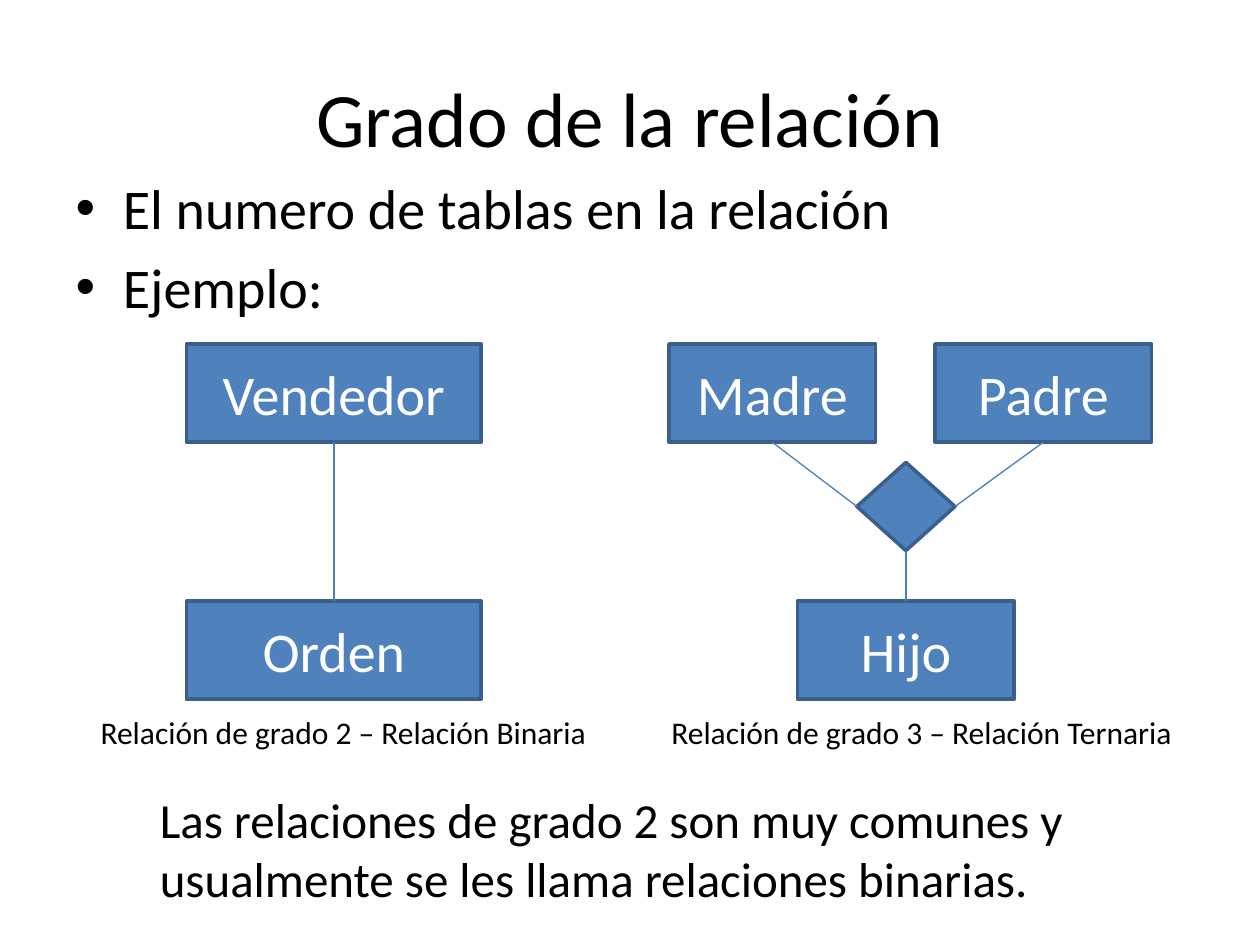
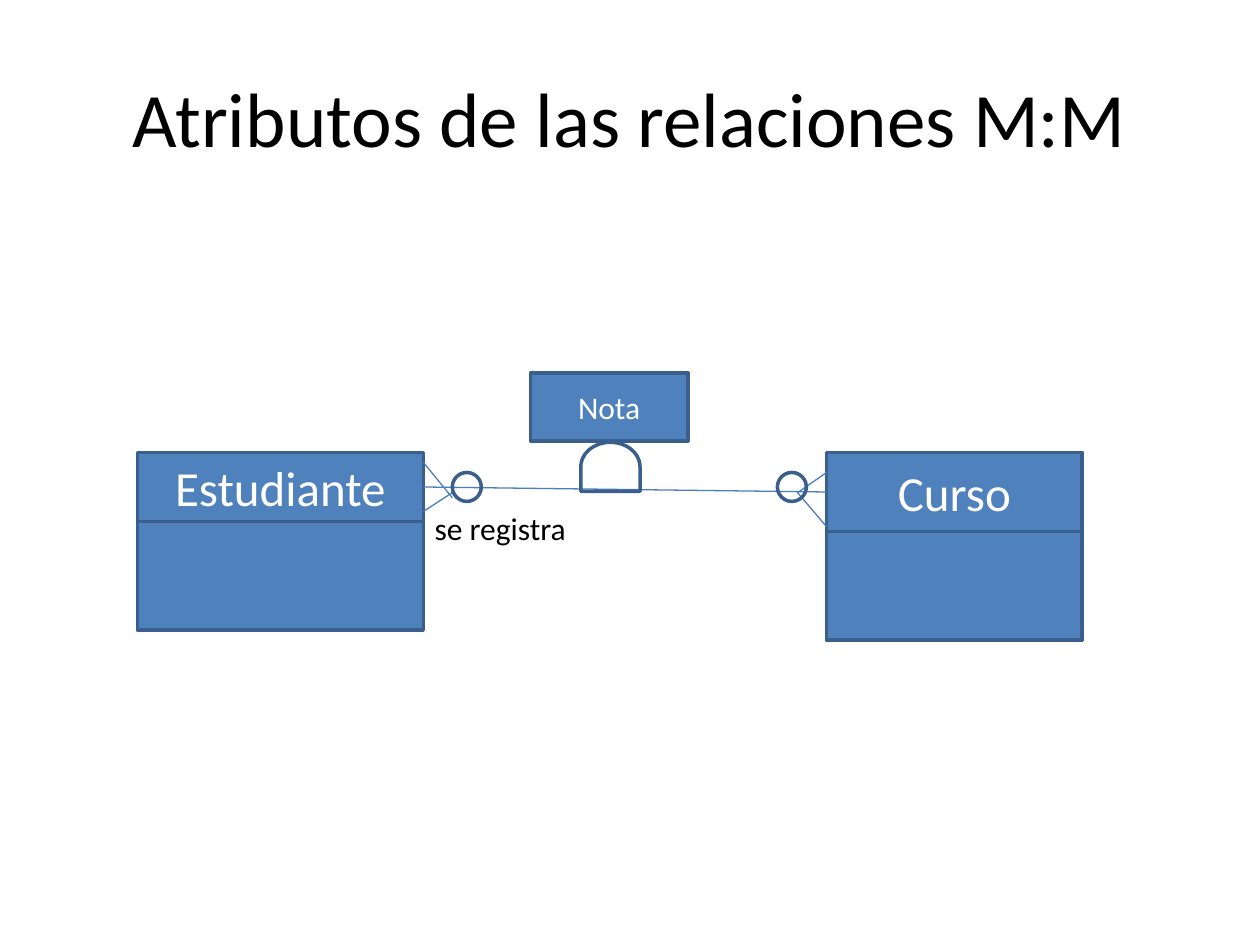
from lxml import etree
from pptx import Presentation
from pptx import util as u
from pptx.dml.color import RGBColor
from pptx.enum import shapes, text
from pptx.oxml import ns

FONT = "Calibri"
BLUE, EDGE, WIRE = "4F81BD", "3A5F8C", "4B7EBC"
BLACK, WHITE = "000000", "FFFFFF"
KIND = shapes.MSO_SHAPE
TOP, LEFT, BOTTOM, RIGHT = range(4)
TITLE_BOX = (0.5, 0.3, 9, 1.25)


def colour(value):
    """Return the colour for a hex string."""
    return RGBColor.from_string(value)


def place(item, box):
    """Move an item to a box given in inches."""
    item.left, item.top, item.width, item.height = map(u.Inches, box)


def write(frame, lines, size, ink, align=None):
    """Fill a text frame with one paragraph per line."""
    frame.word_wrap = True
    for index, line in enumerate(lines):
        para = frame.add_paragraph() if index else frame.paragraphs[0]
        para.text = line
        if index == 0:
            para.space_before = u.Pt(0)
        para.alignment = align
        para.font.name, para.font.size = FONT, u.Pt(size)
        para.font.color.rgb = colour(ink)


def add_page(deck, layout, title):
    """Add a page with its centred title."""
    page = deck.slides.add_slide(deck.slide_layouts.get_by_name(layout))
    place(page.shapes.title, TITLE_BOX)
    frame = page.shapes.title.text_frame
    write(frame, [title], 44, BLACK, text.PP_ALIGN.CENTER)
    frame.vertical_anchor = text.MSO_ANCHOR.MIDDLE
    return page


def add_figure(page, box, label="", size=32, kind=KIND.RECTANGLE, fill=BLUE):
    """Add an outlined shape, filled and labelled where asked."""
    figure = page.shapes.add_shape(kind, *map(u.Inches, box))
    figure.shadow.inherit = False
    if fill:
        figure.fill.solid()
        figure.fill.fore_color.rgb = colour(fill)
    else:
        figure.fill.background()
    figure.line.color.rgb = colour(EDGE)
    figure.line.width = u.Pt(2)
    if label:
        write(figure.text_frame, [label], size, WHITE, text.PP_ALIGN.CENTER)
        figure.text_frame.vertical_anchor = text.MSO_ANCHOR.MIDDLE
    return figure


def add_line(page, start=(0, 0), end=(0, 0)):
    """Add a thin straight line between two points."""
    points = map(u.Inches, (*start, *end))
    line = page.shapes.add_connector(shapes.MSO_CONNECTOR.STRAIGHT, *points)
    line.line.color.rgb = colour(WIRE)
    line.line.width = u.Pt(0.75)
    etree.SubElement(line.element.spPr, ns.qn("a:effectLst"))
    return line


def join(page, first, first_side, second, second_side):
    """Link the sides of two figures with a line."""
    line = add_line(page)
    line.begin_connect(first, first_side)
    line.end_connect(second, second_side)


def add_note(page, box, words, size=18):
    """Add a black text box."""
    note = page.shapes.add_textbox(*map(u.Inches, box))
    write(note.text_frame, [words], size, BLACK)


def draw_binary(page, left, top):
    """Draw two stacked tables in a binary relation."""
    seller, order = [
        add_figure(page, (left, top + drop, 2.34, 0.78), label)
        for label, drop in (("Vendedor", 0), ("Orden", 2.04))
    ]
    join(page, seller, BOTTOM, order, TOP)
    add_note(page, (left - 0.78, top + 2.88, 4.3, 0.4),
             "Relación de grado 2 – Relación Binaria")


def draw_ternary(page, left, top):
    """Draw three tables that meet in a diamond."""
    mother = add_figure(page, (left, top, 1.64, 0.78), "Madre")
    father = add_figure(page, (left + 2.11, top, 1.72, 0.78), "Padre")
    child = add_figure(page, (left + 1.02, top + 2.04, 1.72, 0.78), "Hijo")
    diamond = add_figure(page, (left + 1.49, top + 0.94, 0.78, 0.7), kind=KIND.DIAMOND)
    join(page, diamond, LEFT, mother, BOTTOM)
    join(page, father, BOTTOM, diamond, RIGHT)
    join(page, diamond, BOTTOM, child, TOP)
    add_note(page, (left - 0.08, top + 2.88, 4.38, 0.4),
             "Relación de grado 3 – Relación Ternaria")


def draw_entity(page, left, top, width, head, label):
    """Draw a table with a named head and an empty body; return the head."""
    name = add_figure(page, (left, top, width, head), label, 28)
    add_figure(page, (left, top + head, width, 0.86))
    return name


def draw_many_end(page, edge, toes, circle_left):
    """Draw the crow's foot and circle beside a table edge."""
    for edge_height, tip in toes:
        add_line(page, (edge, edge_height), tip)
    add_figure(page, (circle_left, 3.75, 0.23, 0.23), kind=KIND.OVAL, fill=None)


def draw_attribute(page, left, top):
    """Draw the attribute box and the half-round joint below it."""
    add_figure(page, (left, top, 1.25, 0.54), "Nota", 18)
    joint = add_figure(page, (left + 0.44, top + 0.51, 0.39, 0.47),
                       kind=KIND.FLOWCHART_DELAY, fill=None)
    joint.rotation = 270


def build_degree_page(deck):
    """Build the page on the degree of a relation."""
    page = add_page(deck, "Title and Content", "Grado de la relación")
    body = page.placeholders[1]
    place(body, (0.5, 1.33, 9, 4.95))
    write(body.text_frame, ["El numero de tablas en la relación", "Ejemplo:"], 32, BLACK)
    draw_binary(page, 1.48, 2.73)
    draw_ternary(page, 5.31, 2.73)
    add_note(page, (1.17, 6.22, 9.3, 1.04),
             "Las relaciones de grado 2 son muy comunes y usualmente "
             "se les llama relaciones binarias.", 28)


def build_attribute_page(deck):
    """Build the page on attributes of many-to-many relations."""
    page = add_page(deck, "Title Only", "Atributos de las relaciones M:M")
    student = draw_entity(page, 1.09, 3.59, 2.27, 0.55, "Estudiante")
    course = draw_entity(page, 6.56, 3.59, 2.03, 0.63, "Curso")
    join(page, student, RIGHT, course, LEFT)
    draw_many_end(page, 3.36, [(3.67, (3.59, 3.95)), (4.06, (3.59, 3.91))], 3.59)
    draw_many_end(page, 6.56, [(3.75, (6.33, 3.91)), (4.18, (6.33, 3.91))], 6.17)
    draw_attribute(page, 4.21, 2.96)
    add_note(page, (3.35, 3.99, 1.42, 0.4), "se registra")


def main():
    """Build and save the deck."""
    deck = Presentation()
    deck.slide_width, deck.slide_height = u.Inches(10), u.Inches(7.5)
    build_degree_page(deck)
    build_attribute_page(deck)
    deck.save("out.pptx")


if __name__ == "__main__":
    main()
